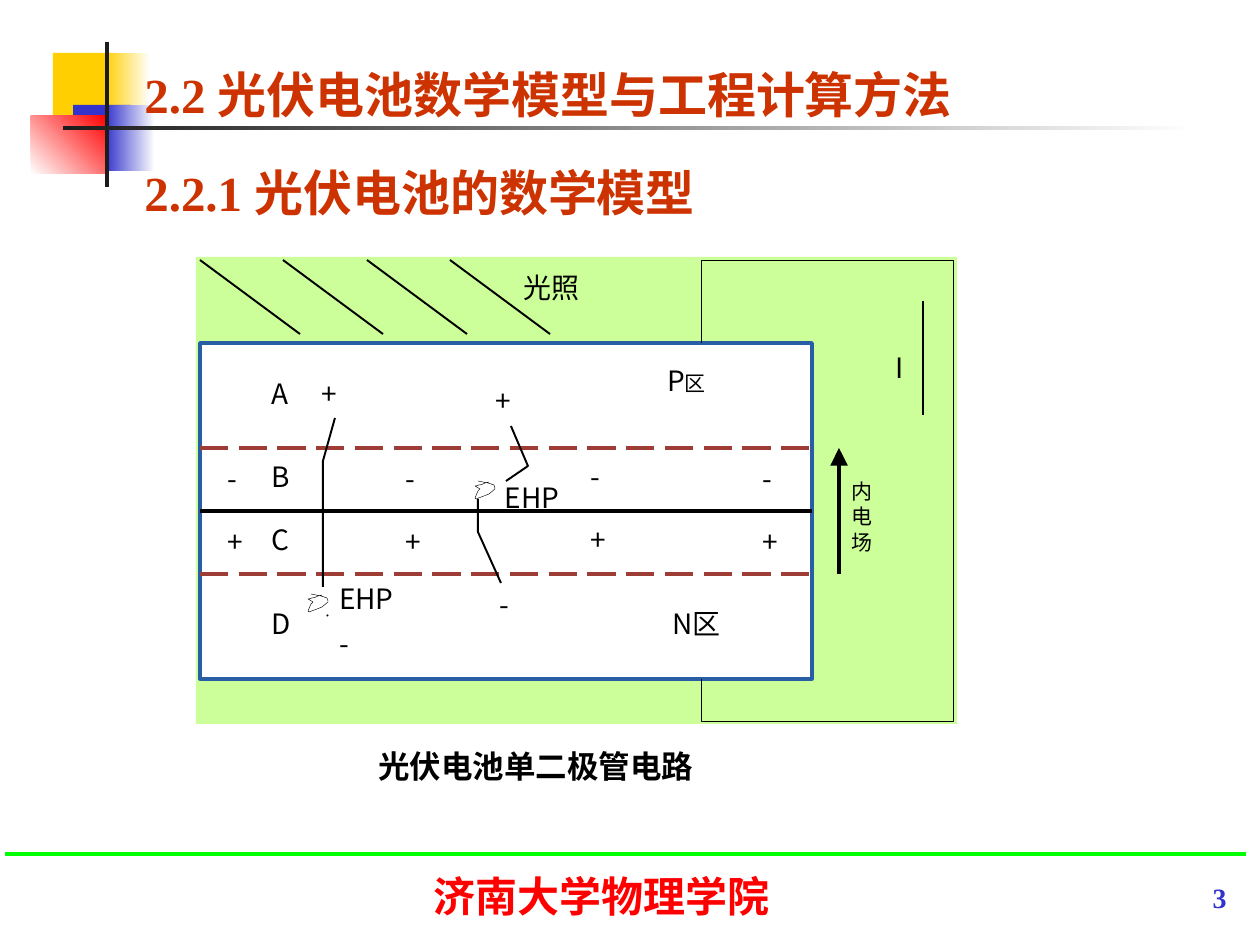
from lxml import etree
from pptx import Presentation
from pptx import util as u
from pptx.dml.color import RGBColor
from pptx.enum import dml, shapes, text
from pptx.oxml.ns import qn

EMU_PER_PX = 914400 / 126
COLORS = {
    "white": "FFFFFF", "black": "000000", "ink": "1C1C1C",
    "yellow": "FFCF01", "blue": "3333CC", "red": "FF0000",
    "title": "CC3300", "green_rule": "00FF00", "panel": "CCFF99",
    "cell_border": "285EA6", "depletion": "9D3D35",
}
SANS = "Noto Sans CJK SC"
SERIF = "Times New Roman"
SQUIGGLE = [(478, 481), (488, 483), (494, 485), (495, 488), (495, 489),
            (489, 494), (484, 496), (476, 499), (475, 498), (478, 491),
            (479, 490), (480, 489), (475, 486), (476, 486), (479, 485),
            (480, 485), (483, 484), (485, 483), (489, 482)]


def px(value):
    return u.Emu(round(value * EMU_PER_PX))


def color(name):
    return RGBColor.from_string(COLORS[name])


def add_rect(slide, box, fill=None, border=None, fade=None, angle=0):
    """Add a rectangle; fade names the second colour of a gradient."""
    shape = slide.shapes.add_shape(shapes.MSO_SHAPE.RECTANGLE, *map(px, box))
    shape.shadow.inherit = False
    if fade:
        shape.fill.gradient()
        shape.fill.gradient_angle = angle
        for stop, name in zip(shape.fill.gradient_stops, (fill, fade)):
            stop.color.rgb = color(name)
    elif fill:
        shape.fill.solid()
        shape.fill.fore_color.rgb = color(fill)
    else:
        shape.fill.background()
    if border:
        shape.line.color.rgb = color(border)
        shape.line.width = u.Pt(2)
    else:
        shape.line.fill.background()


def add_line(slide, start, end, name="black", width=1.11, dashed=False, arrow=False):
    line = slide.shapes.add_connector(
        shapes.MSO_CONNECTOR.STRAIGHT, *map(px, (*start, *end)))
    line.line.color.rgb = color(name)
    line.line.width = u.Pt(width)
    if dashed:
        line.line.dash_style = dml.MSO_LINE.LONG_DASH
    if arrow:
        etree.SubElement(line.line._get_or_add_ln(), qn("a:tailEnd"),
                         type="triangle", w="lg", len="lg")
    etree.SubElement(line._element.spPr, qn("a:effectLst"))


def add_path(slide, points, width=1.11):
    """Add an open, unfilled line through the points."""
    builder = slide.shapes.build_freeform(*points[0], scale=EMU_PER_PX)
    builder.add_line_segments(points[1:], close=False)
    shape = builder.convert_to_shape()
    shape.shadow.inherit = False
    shape.fill.background()
    shape.line.color.rgb = color("black")
    shape.line.width = u.Pt(width)


def style_paragraph(paragraph, size, name, font, east_asian, bold):
    paragraph.font.size = u.Pt(size)
    paragraph.font.bold = bold
    paragraph.font.color.rgb = color(name)
    paragraph.font.name = font
    etree.SubElement(paragraph.font._element, qn("a:ea"), typeface=east_asian)


def add_text(slide, box, words, size=16, name="black", font=SANS,
             east_asian=SANS, bold=False, align=text.PP_ALIGN.LEFT,
             spacing=None, margins=(0, 0, 0, 0), tab=None):
    """Add a text box with one paragraph and return its text frame."""
    frame = slide.shapes.add_textbox(*map(px, box)).text_frame
    frame.word_wrap = True
    (frame.margin_left, frame.margin_top,
     frame.margin_right, frame.margin_bottom) = map(u.Inches, margins)
    paragraph = frame.paragraphs[0]
    paragraph.text = words
    paragraph.alignment = align
    if spacing:
        paragraph.line_spacing = spacing
    if tab:
        tabs = etree.SubElement(paragraph._p.get_or_add_pPr(), qn("a:tabLst"))
        etree.SubElement(tabs, qn("a:tab"), pos=str(px(tab)), algn="l")
    style_paragraph(paragraph, size, name, font, east_asian, bold)
    return frame


def add_frame(slide):
    """Add the corner ornament, the rules and the footer."""
    add_rect(slide, (53, 53, 60, 66), "yellow")
    add_rect(slide, (105, 53, 45, 66), "yellow", fade="white")
    add_rect(slide, (73, 105, 58, 66), "blue")
    add_rect(slide, (105, 105, 50, 66), "blue", fade="white")
    add_rect(slide, (31, 116, 77, 58), "white", fade="red", angle=45)
    add_rect(slide, (105, 42, 4, 145), "ink")
    add_rect(slide, (63, 126, 1134, 4), "ink", fade="white")
    add_line(slide, (5, 854), (1246, 854), "green_rule", 2.25)
    add_text(slide, (369, 864, 465, 73), "济南大学物理学院", 24, "red", "Cabin",
             bold=True, align=text.PP_ALIGN.CENTER, margins=(0.1, 0.05, 0.1, 0))
    add_text(slide, (840, 874, 399, 44), "3", 16, "blue", SERIF, bold=True,
             align=text.PP_ALIGN.RIGHT, margins=(0.1, 0.05, 0.1, 0.05))


def add_titles(slide):
    titles = ("2.2 光伏电池数学模型与工程计算方法", "2.2.1 光伏电池的数学模型")
    for row, title in enumerate(titles):
        add_text(slide, (132, 32 + 98 * row, 882, 98), title, 28, "title", SERIF,
                 bold=True, spacing=1.45, margins=(0.1, 0.05, 0.1, 0.05))


def add_cell(slide):
    """Add the panel, the cell with its layers, the light and the circuit."""
    add_rect(slide, (196, 257, 761, 467), "panel")
    add_rect(slide, (200, 343, 612, 336), "white", "cell_border")
    add_line(slide, (200, 511), (812, 511), width=2)
    for y in (448, 574):
        add_line(slide, (200, y), (812, y), "depletion", 2, dashed=True)
    add_line(slide, (839, 574), (839, 448), width=2, arrow=True)
    for ray in range(4):
        x = 200 + round(83.3 * ray)
        add_line(slide, (x, 260), (x + 100, 334))
    add_path(slide, [(701, 343), (701, 260), (953, 260), (953, 721),
                     (701, 721), (701, 679)], 0.25)
    add_line(slide, (923, 301), (923, 415))


def add_carriers(slide):
    """Add the electron-hole pairs and the tracks of their charges."""
    for dx, dy in ((0, 0), (-167, 113)):
        add_path(slide, [(x + dx, y + dy) for x, y in SQUIGGLE], 0.25)
    add_path(slide, [(506, 481), (528, 466), (511, 426)])
    add_path(slide, [(478, 499), (478, 532), (501, 583)])
    add_path(slide, [(323, 587), (323, 461), (335, 418)])
    add_line(slide, (328, 616), (327, 615))


def add_labels(slide):
    for x, lift in ((228, 0), (406, 0), (590, 2), (762, 0)):
        add_text(slide, (x, 462 - lift, 22, 32), "-")
        add_text(slide, (x, 525 - lift, 22, 32), "+")
    for x, y, width, words in (
            (272, 460, 22, "B"), (272, 523, 22, "C"), (272, 607, 22, "D"),
            (672, 607, 58, "N区"), (524, 271, 76, "光照"), (896, 350, 22, "I"),
            (495, 384, 22, "+"), (500, 588, 22, "-"), (505, 481, 58, "EHP")):
        add_text(slide, (x, y, width, 32), words)
    add_text(slide, (272, 377, 83, 32), "A\t+", tab=50)

    p_region = add_text(slide, (667, 364, 58, 32), "P")
    run = p_region.paragraphs[0].add_run()
    run.text = "区"
    run.font.size = u.Pt(12)

    pair = add_text(slide, (339, 582, 58, 74), "EHP")
    charge = pair.add_paragraph()
    charge.text = "-"
    charge.space_before = u.Pt(6.5)
    style_paragraph(charge, 16, "black", SANS, SANS, False)

    add_text(slide, (852, 478, 32, 76), "内 电 场", 12, spacing=1.01,
             align=text.PP_ALIGN.JUSTIFY)
    add_text(slide, (378, 747, 358, 35), "光伏电池单二极管电路", 18, bold=True,
             font="Noto Sans CJK TC", east_asian="Noto Sans CJK TC",
             spacing=u.Pt(21.5))


def main():
    presentation = Presentation()
    presentation.slide_width, presentation.slide_height = px(1260), px(945)
    slide = presentation.slides.add_slide(presentation.slide_layouts[6])
    add_frame(slide)
    add_titles(slide)
    add_cell(slide)
    add_carriers(slide)
    add_labels(slide)
    presentation.save("out.pptx")


if __name__ == "__main__":
    main()
